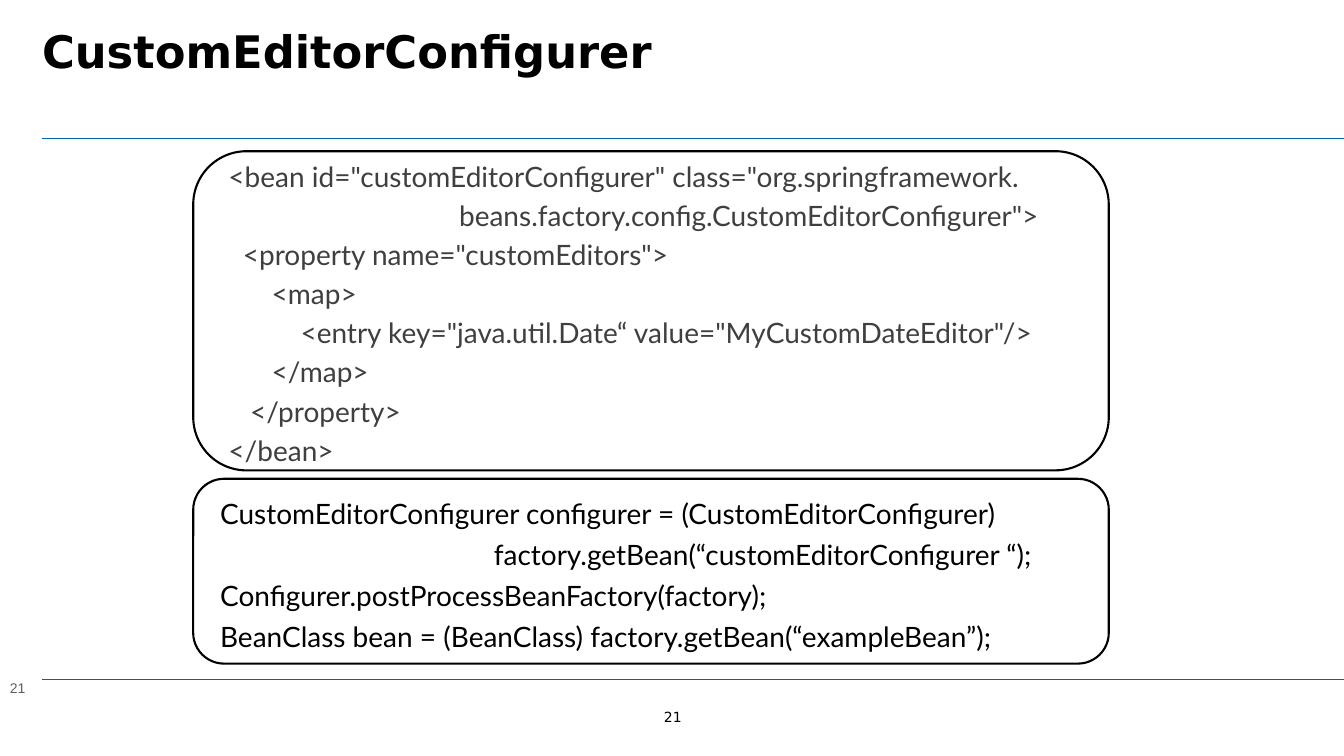
"""Build the CustomEditorConfigurer slide on a grid of 160 columns by 90 rows."""
from dataclasses import dataclass

from lxml import etree
from pptx import Presentation
from pptx import util as u
from pptx.dml.color import RGBColor
from pptx.enum import shapes, text
from pptx.oxml import ns

WIDE, HIGH = u.Inches(13.34), u.Inches(7.5)
COLS, ROWS = 160, 90
SPACE = 5.15
ALIGN, ANCHOR = text.PP_ALIGN, text.MSO_ANCHOR


@dataclass
class Area:
    col: float
    row: float
    cols: float
    rows: float

    def spot(self) -> dict:
        return {"left": across(self.col), "top": down(self.row),
                "width": across(self.cols), "height": down(self.rows)}


@dataclass
class Style:
    font: str
    size: float
    color: str
    bold: bool = False
    gap: float = 0
    lead: float = 1.0
    align: ALIGN = ALIGN.LEFT
    anchor: ANCHOR = ANCHOR.TOP
    inset: tuple = (0.1, 0.05)


@dataclass
class Block:
    area: Area
    style: Style
    lines: list
    holder: int | None = None


def across(cols: float) -> int:
    return round(WIDE * cols / COLS)


def down(rows: float) -> int:
    return round(HIGH * rows / ROWS)


def paint(code: str) -> RGBColor:
    return RGBColor.from_string(code)


def apply(target, values: dict) -> None:
    for name, value in values.items():
        setattr(target, name, value)


def write(slide, block: Block) -> None:
    spot, style = block.area.spot(), block.style
    if block.holder is None:
        box = slide.shapes.add_textbox(*spot.values())
    else:
        box = slide.placeholders[block.holder]
        apply(box, spot)
    side, edge = map(u.Inches, style.inset)
    frame = box.text_frame
    apply(frame, {"word_wrap": True, "auto_size": text.MSO_AUTO_SIZE.NONE,
                  "vertical_anchor": style.anchor,
                  "margin_left": side, "margin_right": side,
                  "margin_top": edge, "margin_bottom": edge})
    for count, (indent, words) in enumerate(block.lines):
        para = frame.add_paragraph() if count else frame.paragraphs[0]
        apply(para, {"alignment": style.align, "line_spacing": style.lead,
                     "space_before": u.Pt(style.gap), "space_after": u.Pt(0)})
        props = para._p.get_or_add_pPr()
        props.set("marL", str(u.Pt(indent * SPACE)))
        props.set("indent", "0")
        etree.SubElement(props, ns.qn("a:buNone"))
        run = para.add_run()
        run.text = words
        apply(run.font, {"name": style.font, "size": u.Pt(style.size), "bold": style.bold})
        run.font.color.rgb = paint(style.color)


def rule(slide, row: float) -> None:
    line = slide.shapes.add_connector(
        shapes.MSO_CONNECTOR.STRAIGHT, across(5), down(row), WIDE, down(row))
    line.line.color.rgb = paint("0066A1")
    line.line.width = u.Pt(1.25)
    etree.SubElement(line._element.spPr, ns.qn("a:effectLst"))


def border(slide, area: Area) -> None:
    box = slide.shapes.add_shape(
        shapes.MSO_SHAPE.ROUNDED_RECTANGLE, *area.spot().values())
    box.adjustments[0] = 0.167
    box.shadow.inherit = False
    box.fill.background()
    box.line.color.rgb = paint("000000")
    box.line.width = u.Pt(1.5)


RULES = [16.5, 80.9]
BORDERS = [Area(23, 18, 109, 38), Area(23, 57, 109, 22)]
BLOCKS = [
    Block(Area(5, 2.2, 151.7, 12.6),
          Style("DejaVu Sans", 32, "000000", bold=True, inset=(0, 0.05)),
          [(0, "CustomEditorConfigurer")], holder=0),
    Block(Area(26, 19, 108, 37.2),
          Style("Lato", 20, "3F3F3F", gap=7.5, lead=0.85),
          [(0, '<bean id="customEditorConfigurer" class="org.springframework.'),
           (32, 'beans.factory.config.CustomEditorConfigurer">'),
           (2, '<property name="customEditors">'),
           (6, "<map>"),
           (10, '<entry key="java.util.Date“ value="MyCustomDateEditor"/>'),
           (6, "</map>"),
           (3, "</property>"),
           (0, "</bean>")], holder=1),
    Block(Area(25, 59, 110, 19.4),
          Style("Lato", 20, "000000", gap=7.5, lead=0.9),
          [(0, "CustomEditorConfigurer configurer = (CustomEditorConfigurer)"),
           (38, "factory.getBean(“customEditorConfigurer “);"),
           (0, "Configurer.postProcessBeanFactory(factory);"),
           (0, "BeanClass bean = (BeanClass) factory.getBean(“exampleBean”);")],
          holder=2),
    Block(Area(0, 80.3, 13, 3.5),
          Style("Arial", 10, "5F5F5F", gap=3.7), [(0, "21")]),
    Block(Area(76, 84.2, 8.2, 2.3),
          Style("DejaVu Sans", 10, "000000", align=ALIGN.CENTER,
                anchor=ANCHOR.MIDDLE, inset=(0, 0)), [(0, "21")]),
]


def main() -> None:
    deck = Presentation()
    apply(deck, {"slide_width": WIDE, "slide_height": HIGH})
    slide = deck.slides.add_slide(deck.slide_layouts[3])
    for row in RULES:
        rule(slide, row)
    for block in BLOCKS:
        write(slide, block)
    for area in BORDERS:
        border(slide, area)
    deck.save("out.pptx")


if __name__ == "__main__":
    main()
